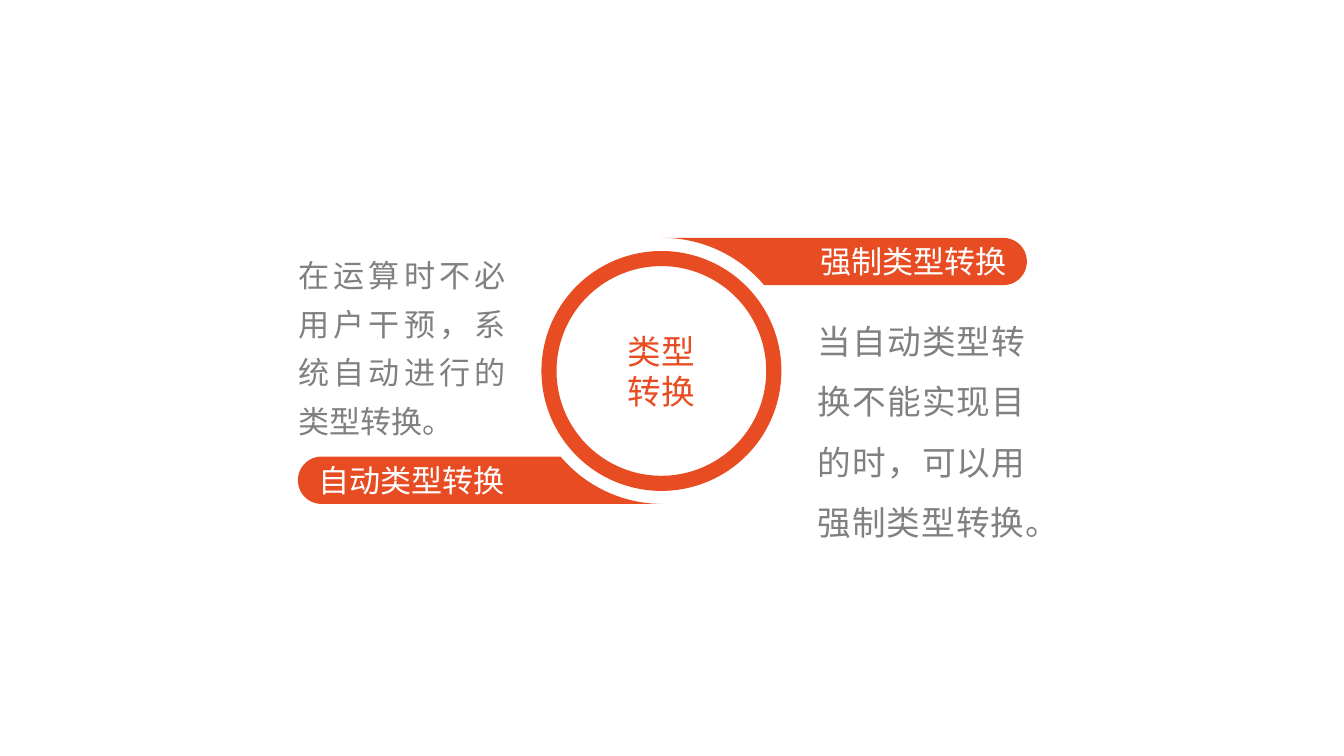
import math

import lxml.etree
import pptx
import pptx.dml.color
import pptx.enum.lang
import pptx.enum.shapes
import pptx.enum.text
import pptx.oxml.ns
import pptx.util

Inches = pptx.util.Inches
ALIGN = pptx.enum.text.PP_ALIGN
ANCHOR = pptx.enum.text.MSO_ANCHOR
HUB = (6.57, 3.68)
REACH = 1.32  # radius of the curved edge of a tab
FACE = "Noto Sans CJK SC"
COLORS = {"accent": "E84C22", "light": "FFFFFF", "body": "808080"}


class Deck:
    def __init__(self):
        self.file = pptx.Presentation()
        self.file.slide_width = Inches(13.33)
        self.file.slide_height = Inches(7.5)
        self.slide = self.file.slides.add_slide(self.file.slide_layouts[6])

    def color(self, name):
        return pptx.dml.color.RGBColor.from_string(COLORS[name])

    def paint(self, shape):
        shape.shadow.inherit = False
        shape.fill.solid()
        shape.fill.fore_color.rgb = self.color("accent")
        shape.line.fill.background()

    def label(self, shape, lines, size, color, align, anchor, pads, space=None):
        frame = shape.text_frame
        frame.word_wrap = True
        frame.vertical_anchor = anchor
        frame.margin_left, frame.margin_top, frame.margin_right, frame.margin_bottom = map(Inches, pads)
        for i, line in enumerate(lines):
            para = frame.paragraphs[0] if i == 0 else frame.add_paragraph()
            para.alignment = align
            if space:
                para.line_spacing = space
            run = para.add_run()
            run.text = line
            run.font.size = pptx.util.Pt(size)
            run.font.color.rgb = self.color(color)
            run.font.language_id = pptx.enum.lang.MSO_LANGUAGE_ID.SIMPLIFIED_CHINESE
            run.font.name = FACE
            east = lxml.etree.SubElement(run._r.get_or_add_rPr(), pptx.oxml.ns.qn("a:ea"))
            east.set("typeface", FACE)

    def tab(self, text, side, align):
        """Draw a tab; side 1 is upper right, -1 its half turn about the hub."""
        top, low, cap = -REACH, -0.85, 3.38
        half = (low - top) / 2
        turns = [math.radians(a) for a in range(-90, 91, 5)]
        edge = [(cap + half * math.cos(t), top + half + half * math.sin(t)) for t in turns]
        last = math.asin(-low / REACH)
        for i in range(25):
            t = last + (math.pi / 2 - last) * i / 24
            edge.append((REACH * math.cos(t), -REACH * math.sin(t)))
        spots = [(Inches(HUB[0] + side * x), Inches(HUB[1] + side * y)) for x, y in edge]
        build = self.slide.shapes.build_freeform(*spots[0])
        build.add_line_segments(spots[1:], close=True)
        shape = build.convert_to_shape()
        self.paint(shape)
        self.label(shape, [text], 22.2, "light", align, ANCHOR.MIDDLE, (0.2, 0.05, 0.2, 0.05))

    def ring(self, lines):
        shape = self.slide.shapes.add_shape(
            pptx.enum.shapes.MSO_SHAPE.DONUT, Inches(5.37), Inches(2.49), Inches(2.38), Inches(2.38))
        shape.adjustments[0] = 0.063
        self.paint(shape)
        self.label(shape, lines, 24, "accent", ALIGN.CENTER, ANCHOR.MIDDLE, (0, 0, 0, 0))

    def note(self, text, box, size, anchor, pads, space):
        shape = self.slide.shapes.add_textbox(*map(Inches, box))
        self.label(shape, [text], size, "body", ALIGN.JUSTIFY, anchor, pads, space)


def main():
    deck = Deck()
    # Tabs on both sides of the hub
    deck.tab("强制类型转换", 1, ALIGN.RIGHT)
    deck.tab("自动类型转换", -1, ALIGN.LEFT)
    # Hub
    deck.ring(["类型", "转换"])
    # Notes on each kind
    deck.note("在运算时不必用户干预，系统自动进行的类型转换。", (2.96, 2.18, 2.26, 2.34),
              22.2, ANCHOR.BOTTOM, (0, 0.16, 0.2, 0.16), 1.3)
    deck.note("当自动类型转换不能实现目的时，可以用强制类型转换。", (7.91, 2.82, 2.26, 1.89),
              24, ANCHOR.TOP, (0.2, 0.16, 0, 0.16), 1.5)
    deck.file.save("out.pptx")


if __name__ == "__main__":
    main()
